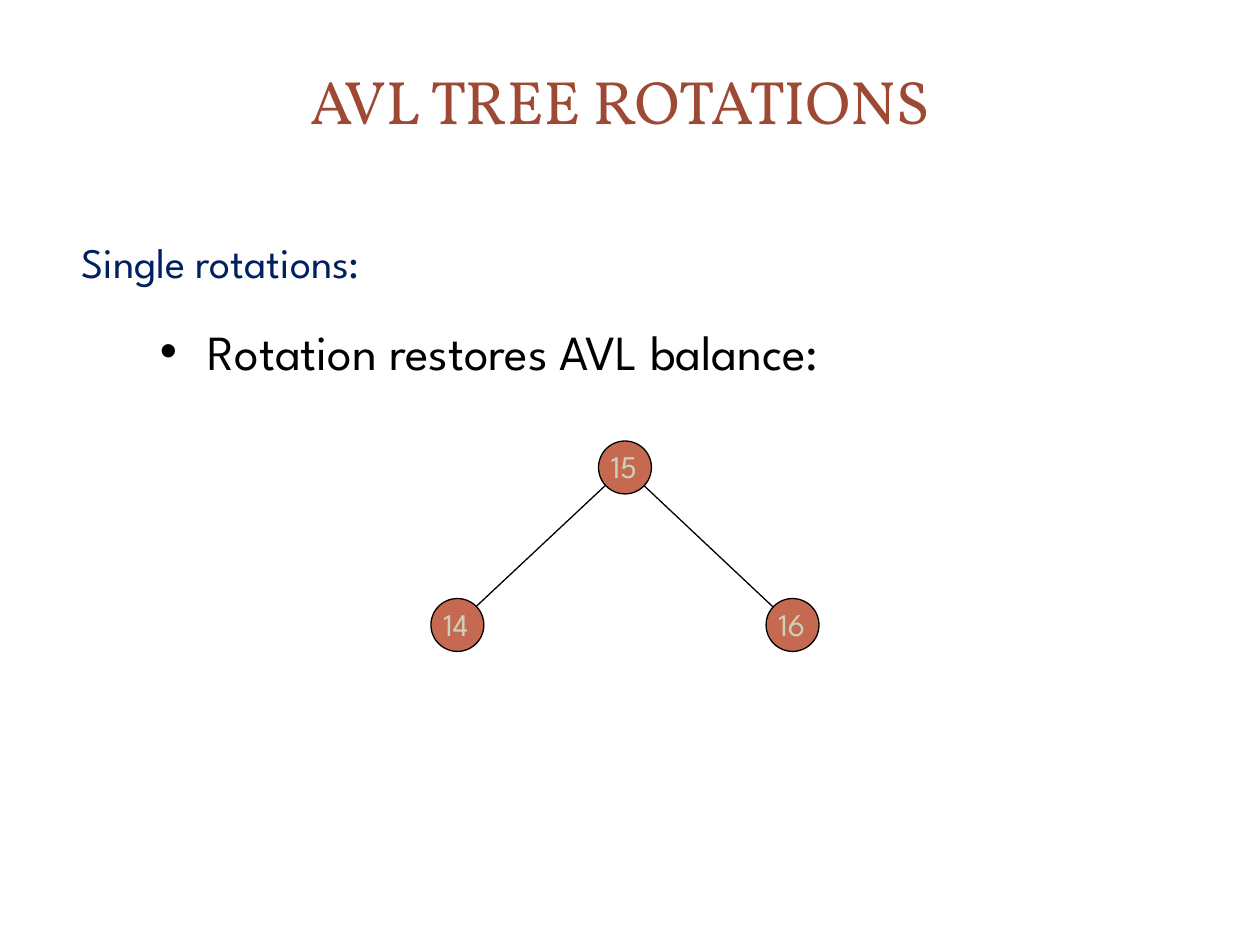
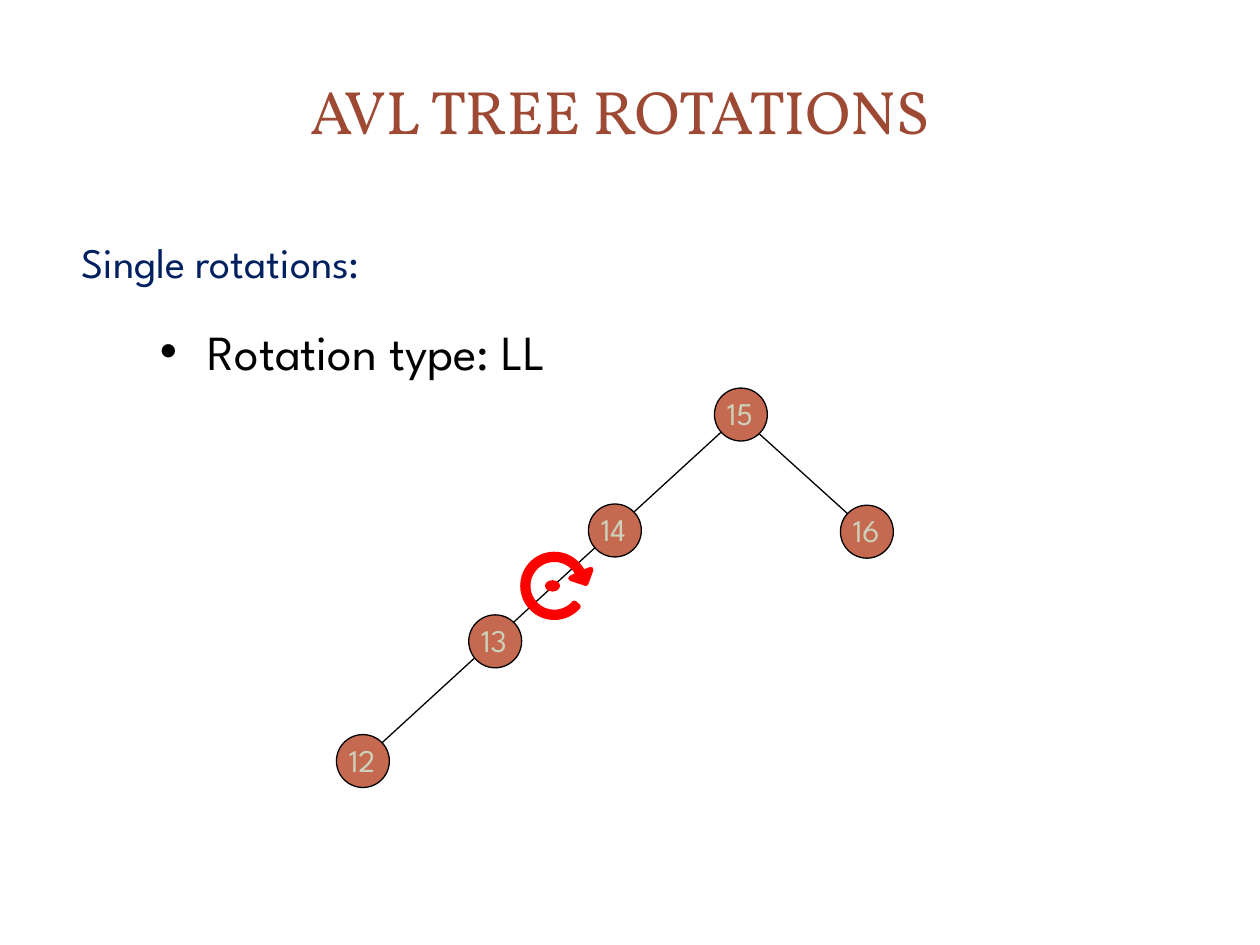
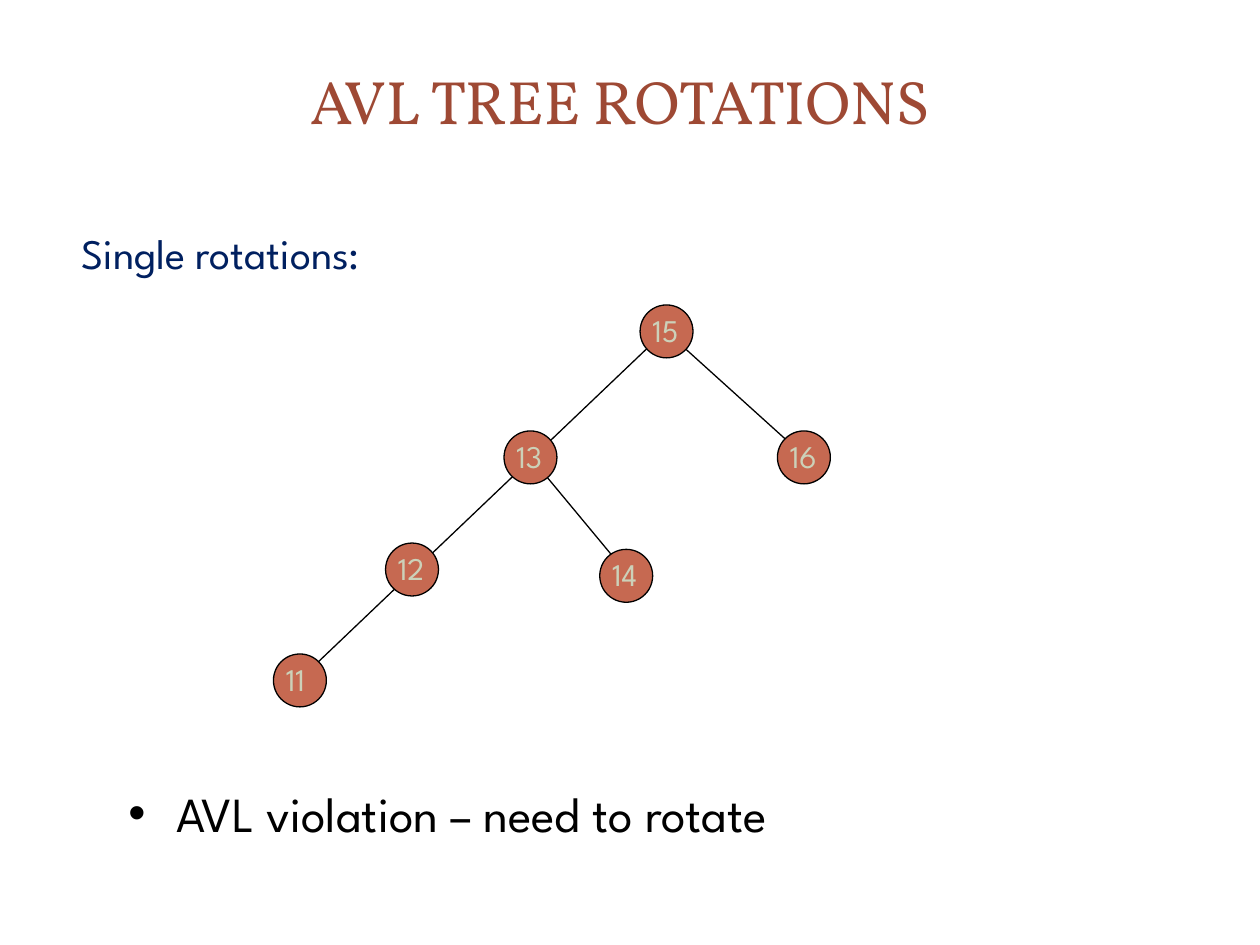
from math import cos, radians, sin

from lxml.etree import SubElement
from pptx import Presentation
from pptx.dml.color import RGBColor
from pptx.enum.shapes import MSO_CONNECTOR as CONN, MSO_SHAPE as SHAPE
from pptx.enum.text import MSO_ANCHOR as ANCHOR, MSO_AUTO_SIZE as AUTO, PP_ALIGN as ALIGN
from pptx.oxml.ns import qn
from pptx.util import Inches, Pt

COLORS = {
    "title": "9E4934",
    "heading": "002060",
    "text": "000000",
    "node": "C66951",
    "label": "CCD1B9",
    "edge": "000000",
    "turn": "FF0000",
}
TITLE_FONT = "Vollkorn"
BODY_FONT = "League Spartan"
NODE_SIZE = 0.42


def rgb(name):
    return RGBColor.from_string(COLORS[name])


def style(p, size, color, font=BODY_FONT):
    for r in p.runs:
        r.font.size = Pt(size)
        r.font.name = font
        r.font.color.rgb = rgb(color)


def paint(sp, fill, line, width=0.75):
    sp.shadow.inherit = False
    sp.fill.solid()
    sp.fill.fore_color.rgb = rgb(fill)
    sp.line.color.rgb = rgb(line)
    sp.line.width = Pt(width)


def add_text(s, text, left, top, width, height, size, color):
    box = s.shapes.add_textbox(Inches(left), Inches(top), Inches(width), Inches(height))
    tf = box.text_frame
    tf.word_wrap = True
    tf.text = text
    p = tf.paragraphs[0]
    style(p, size, color)
    return p


def set_indent(p, margin, first, bullet=None):
    pPr = p._p.get_or_add_pPr()
    pPr.set("marL", str(Inches(margin)))
    pPr.set("indent", str(Inches(first)))
    if bullet:
        SubElement(pPr, qn("a:buFont")).set("typeface", "Arial")
        SubElement(pPr, qn("a:buChar")).set("char", bullet)


def add_bullet(s, text, left, top, width):
    p = add_text(s, text, left, top, width, 0.67, 28, "text")
    set_indent(p, 0.38, -0.38, "•")


def add_slide(prs, title_top=0.17, heading_top=1.83):
    s = prs.slides.add_slide(prs.slide_layouts[5])
    title = s.shapes.title
    title.left, title.top = Inches(0.67), Inches(title_top)
    title.width, title.height = Inches(8.5), Inches(1.25)
    tf = title.text_frame
    tf.text = "AVL TREE ROTATIONS"
    tf.word_wrap = True
    tf.auto_size = AUTO.NONE
    tf.vertical_anchor = ANCHOR.MIDDLE
    p = tf.paragraphs[0]
    p.alignment = ALIGN.CENTER
    style(p, 35, "title", TITLE_FONT)
    heading = add_text(s, "Single rotations:", 0.42, heading_top, 9.33, 0.67, 24, "heading")
    set_indent(heading, 0.38, -0.25)
    return s


def add_edge(s, x1, y1, x2, y2):
    line = s.shapes.add_connector(
        CONN.STRAIGHT, Inches(x1), Inches(y1), Inches(x2), Inches(y2))
    line.line.color.rgb = rgb("edge")
    line.line.width = Pt(0.75)
    SubElement(line._element.spPr, qn("a:effectLst"))


def add_node(s, key, left, top):
    sp = s.shapes.add_shape(
        SHAPE.OVAL, Inches(left), Inches(top), Inches(NODE_SIZE), Inches(NODE_SIZE))
    paint(sp, "node", "edge")
    add_text(s, str(key), left, top, 0.5, 0.4, 18, "label")


def add_tree(s, edges, nodes):
    for edge in edges:
        add_edge(s, *edge)
    for key, (left, top) in nodes.items():
        add_node(s, key, left, top)


def arc(cx, cy, radius, start, end, step):
    return [(cx + radius * cos(radians(a)), cy + radius * sin(radians(a)))
            for a in range(start, end + step, step)]


def add_turn_arrow(s, cx, cy):
    inner = arc(cx, cy, 0.21, -25, -319, -6)
    outer = arc(cx, cy, 0.25, -319, -25, 6)
    head = [(cx + 0.29, cy - 0.13), (cx + 0.25, cy - 0.02), (cx + 0.13, cy - 0.06)]
    points = [(Inches(x), Inches(y)) for x, y in inner + outer + head]
    fb = s.shapes.build_freeform(*points[0])
    fb.add_line_segments(points[1:], close=True)
    paint(fb.convert_to_shape(), "turn", "turn", 3)
    pivot = s.shapes.add_shape(
        SHAPE.OVAL, Inches(cx - 0.07), Inches(cy - 0.04), Inches(0.11), Inches(0.08))
    paint(pivot, "turn", "turn")


def add_balanced_slide(prs):
    s = add_slide(prs)
    add_bullet(s, "Rotation restores AVL balance:", 1.17, 2.5, 8.17)
    add_tree(
        s,
        [(3.58, 5, 5, 3.67), (5, 3.75, 6.33, 5)],
        {14: (3.42, 4.75), 15: (4.75, 3.5), 16: (6.08, 4.75)})


def add_rotation_slide(prs):
    s = add_slide(prs, title_top=0.25)
    add_bullet(s, "Rotation type: LL", 1.17, 2.5, 5.5)
    add_tree(
        s,
        [(2.83, 6.08, 5.92, 3.25), (6, 3.42, 6.83, 4.17)],
        {14: (4.67, 4), 15: (5.67, 3.08), 16: (6.67, 4.01),
         13: (3.72, 4.88), 12: (2.67, 5.83)})
    add_turn_arrow(s, 4.4, 4.65)


def add_violation_slide(prs):
    s = add_slide(prs, heading_top=1.76)
    add_tree(
        s,
        [(4.17, 3.58, 5, 4.58), (2.33, 5.44, 5.33, 2.58), (5.42, 2.75, 6.25, 3.5)],
        {13: (4, 3.42), 15: (5.08, 2.42), 16: (6.17, 3.42),
         12: (3.06, 4.31), 14: (4.76, 4.36), 11: (2.17, 5.19)})
    add_bullet(s, "AVL violation – need to rotate", 0.92, 6.17, 6.67)


def main():
    prs = Presentation()
    prs.slide_width, prs.slide_height = Inches(10), Inches(7.5)
    add_balanced_slide(prs)
    add_rotation_slide(prs)
    add_violation_slide(prs)
    prs.save("out.pptx")


if __name__ == "__main__":
    main()
